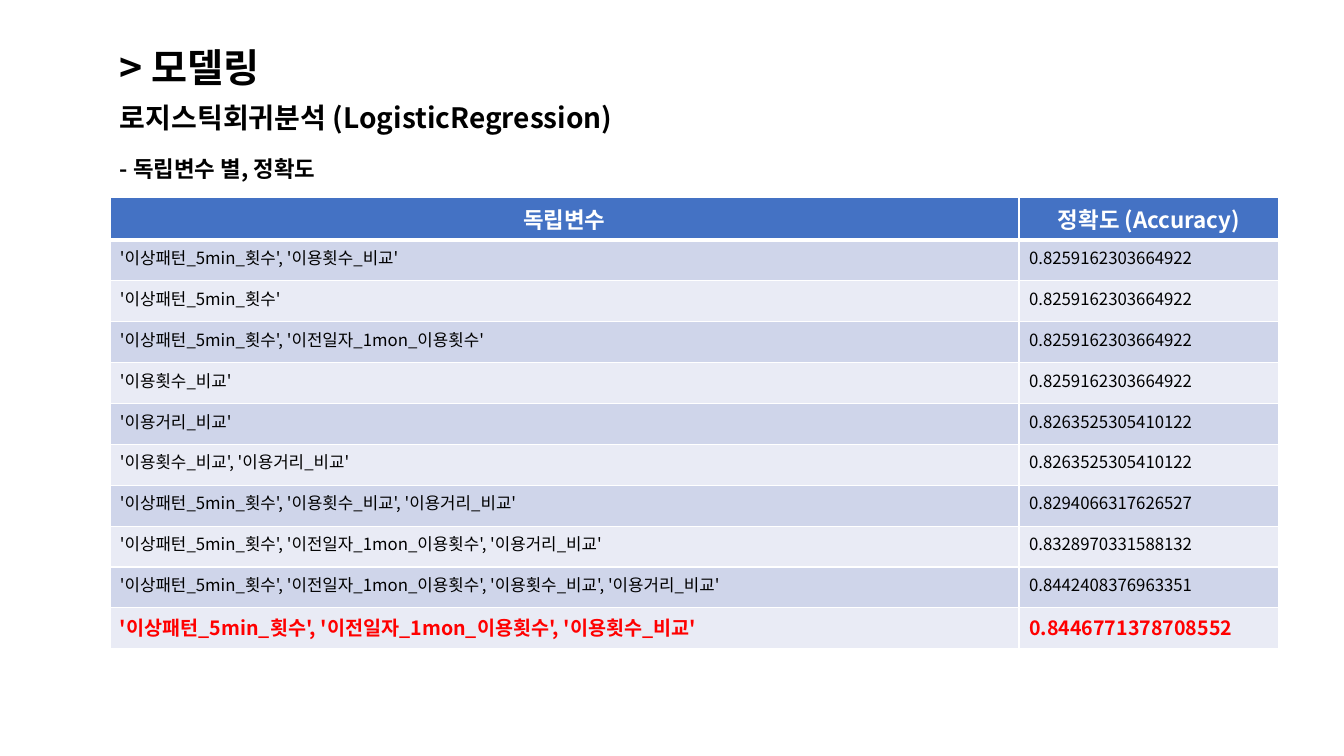
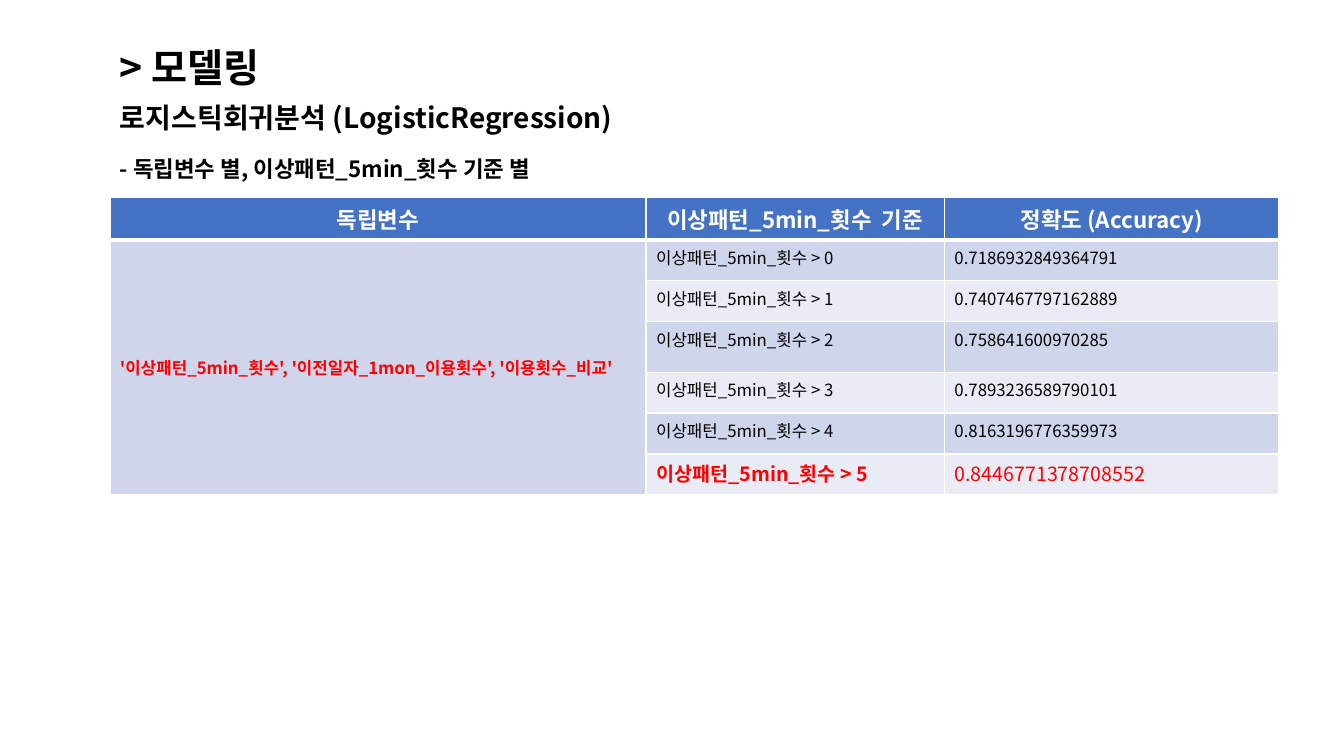
from lxml.etree import SubElement
from pptx import Presentation
from pptx.dml.color import RGBColor
from pptx.enum.text import MSO_ANCHOR, MSO_AUTO_SIZE, PP_ALIGN
from pptx.oxml.ns import qn
from pptx.util import Cm, Pt

FONT = "Noto Sans CJK KR"
BLACK, WHITE, RED, BLUE = "000000", "FFFFFF", "FF0000", "4472C4"
BANDS = ("CFD5EA", "E9EBF5")
LEFT, WIDTH, TABLE_TOP, ROW_HEIGHT = 2.77, 29.46, 4.98, 1.03

PATTERN, MONTH, COUNT, DISTANCE = "이상패턴_5min_횟수", "이전일자_1mon_이용횟수", "이용횟수_비교", "이용거리_비교"
VARIABLE, ACCURACY = "독립변수", "정확도 (Accuracy)"


def rgb(color):
    """Turn a hex string into a colour."""
    return RGBColor.from_string(color)


def quoted(*names):
    """List variable names in single quotes."""
    return ", ".join(f"'{name}'" for name in names)


class Deck:
    """Holds the shared style and the current slide."""

    def __init__(self):
        """Start an empty widescreen presentation."""
        self.prs = Presentation()
        self.prs.slide_width, self.prs.slide_height = Cm(33.87), Cm(19.05)
        self.s = None

    def style(self, p, size, color=BLACK, bold=True):
        """Format every run of a paragraph."""
        for r in p.runs:
            r.font.size, r.font.bold, r.font.name = Pt(size), bold, FONT
            r.font.color.rgb = rgb(color)
            rPr = r.font._element
            for ea in rPr.findall(qn("a:ea")):
                rPr.remove(ea)
            ea = SubElement(rPr, qn("a:ea"), typeface=FONT)
            rPr.find(qn("a:latin")).addnext(ea)

    def place(self, sp, top, height, text):
        """Move a placeholder and give it plain left-aligned text."""
        sp.left, sp.top, sp.width, sp.height = Cm(LEFT), Cm(top), Cm(WIDTH), Cm(height)
        tf = sp.text_frame
        tf.text = text
        tf.word_wrap, tf.auto_size = True, MSO_AUTO_SIZE.NONE
        tf.vertical_anchor = MSO_ANCHOR.TOP
        for p in tf.paragraphs:
            p.alignment, p.space_before = PP_ALIGN.LEFT, Pt(0)
        return tf.paragraphs

    def slide(self, topic):
        """Add a slide with the common headings and its own topic line."""
        self.s = self.prs.slides.add_slide(self.prs.slide_layouts[1])
        title, body = self.s.placeholders
        self.style(self.place(title, 0.97, 1.45, "> 모델링")[0], 28)
        lines = self.place(body, 2.41, 2.5, f"로지스틱회귀분석 (LogisticRegression)\n- {topic}")
        for p, size in zip(lines, (20, 16)):
            pPr = p._p.get_or_add_pPr()
            pPr.set("marL", "0")
            pPr.set("indent", "0")
            SubElement(pPr, qn("a:buNone"))
            self.style(p, size)
        lines[1].space_before = Pt(15)

    def border(self, cell, row):
        """Draw white cell borders, thick below the header."""
        tcPr = cell._tc.get_or_add_tcPr()
        widths = {"lnL": 1, "lnR": 1, "lnT": 3 if row == 1 else 1, "lnB": 3 if row == 0 else 1}
        for side, width in widths.items():
            ln = SubElement(tcPr, qn(f"a:{side}"), w=str(Pt(width)))
            SubElement(SubElement(ln, qn("a:solidFill")), qn("a:srgbClr"), val=WHITE)

    def table(self, widths, header, rows):
        """Add a banded table under the headings."""
        grid = [header, *rows]
        frame = self.s.shapes.add_table(len(grid), len(header), Cm(LEFT), Cm(TABLE_TOP),
                                        Cm(WIDTH), Cm(ROW_HEIGHT * len(grid)))
        table = frame.table
        for column, width in zip(table.columns, widths):
            column.width = Cm(width)
        for i, texts in enumerate(grid):
            table.rows[i].height = Cm(ROW_HEIGHT)
            for j, text in enumerate(texts):
                cell = table.cell(i, j)
                self.border(cell, i)
                cell.fill.solid()
                cell.fill.fore_color.rgb = rgb(BANDS[(i - 1) % 2] if i else BLUE)
                cell.text_frame.text = text
                p = cell.text_frame.paragraphs[0]
                if i == 0:
                    p.alignment = PP_ALIGN.CENTER
                    self.style(p, 16, WHITE)
                else:
                    self.style(p, 12, bold=False)
        return table

    def highlight(self, cell, size=14, bold=True):
        """Set a cell's text in red."""
        self.style(cell.text_frame.paragraphs[0], size, RED, bold)


def main():
    """Build both slides and save them."""
    deck = Deck()

    deck.slide("독립변수 별, 정확도")
    table = deck.table((22.91, 6.55), (VARIABLE, ACCURACY), [
        (quoted(PATTERN, COUNT), "0.8259162303664922"),
        (quoted(PATTERN), "0.8259162303664922"),
        (quoted(PATTERN, MONTH), "0.8259162303664922"),
        (quoted(COUNT), "0.8259162303664922"),
        (quoted(DISTANCE), "0.8263525305410122"),
        (quoted(COUNT, DISTANCE), "0.8263525305410122"),
        (quoted(PATTERN, COUNT, DISTANCE), "0.8294066317626527"),
        (quoted(PATTERN, MONTH, DISTANCE), "0.8328970331588132"),
        (quoted(PATTERN, MONTH, COUNT, DISTANCE), "0.8442408376963351"),
        (quoted(PATTERN, MONTH, COUNT), "0.8446771378708552"),
    ])
    for j in range(2):
        deck.highlight(table.cell(10, j))

    deck.slide(f"독립변수 별, {PATTERN} 기준 별")
    scores = ("0.7186932849364791", "0.7407467797162889", "0.758641600970285",
              "0.7893236589790101", "0.8163196776359973", "0.8446771378708552")
    best = quoted(PATTERN, MONTH, COUNT)
    table = deck.table((13.51, 7.52, 8.43), (VARIABLE, f"{PATTERN}  기준", ACCURACY), [
        ("" if limit else best, f"{PATTERN} > {limit}", score) for limit, score in enumerate(scores)
    ])
    table.rows[3].height = Cm(1.27)
    merged = table.cell(1, 0)
    merged.merge(table.cell(6, 0))
    merged.vertical_anchor = MSO_ANCHOR.MIDDLE
    deck.highlight(merged, 12)
    deck.highlight(table.cell(6, 1))
    deck.highlight(table.cell(6, 2), bold=False)

    deck.prs.save("out.pptx")


if __name__ == "__main__":
    main()
